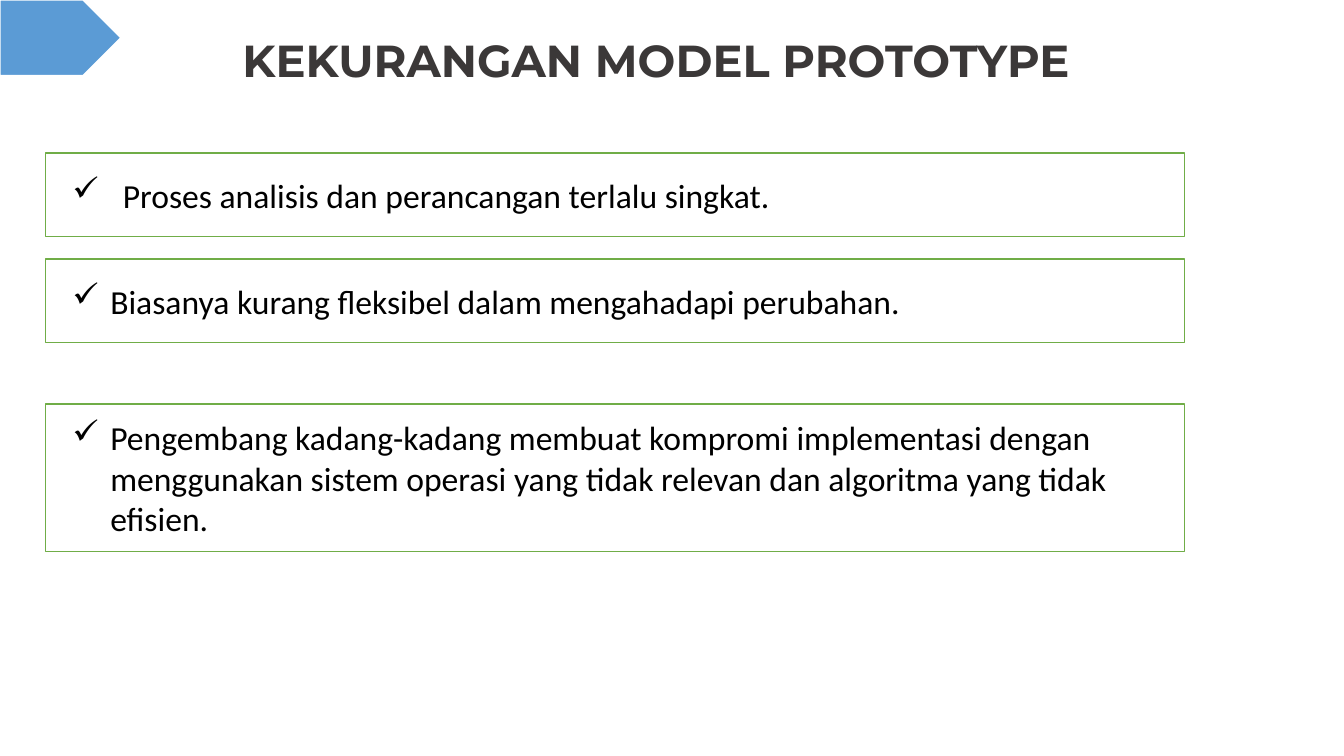
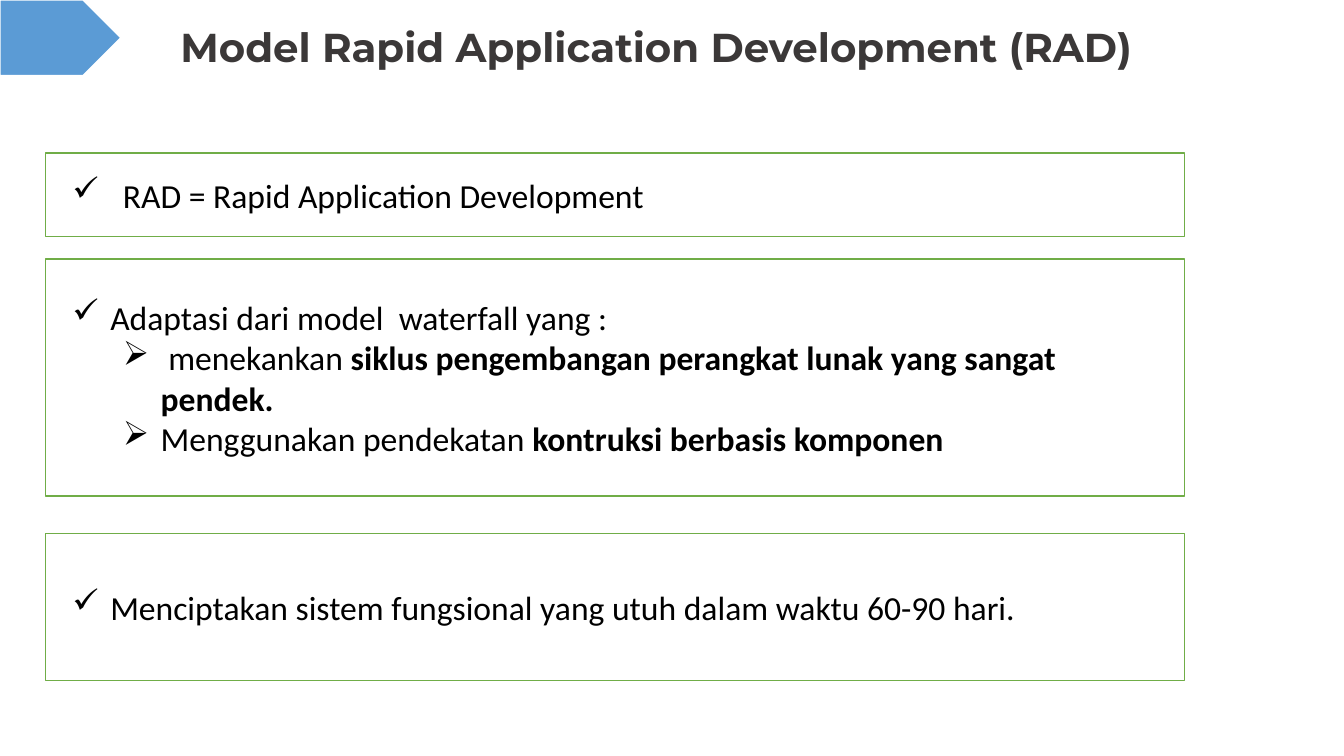
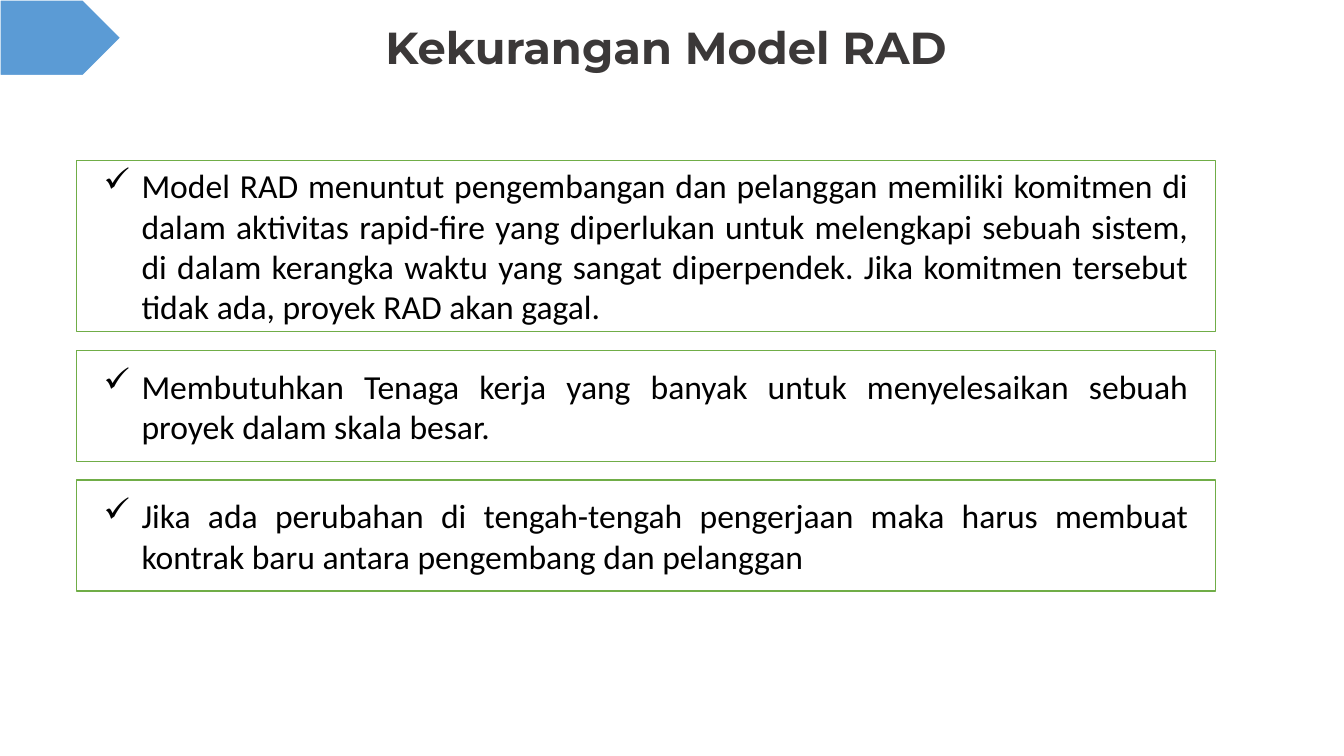
from lxml import etree
from pptx import Presentation
from pptx.dml.color import RGBColor
from pptx.enum.shapes import MSO_SHAPE
from pptx.enum.text import MSO_ANCHOR, PP_ALIGN
from pptx.oxml.ns import qn
from pptx.util import Pt

RECTANGLE = MSO_SHAPE.RECTANGLE
PENTAGON = MSO_SHAPE.PENTAGON
MIDDLE = MSO_ANCHOR.MIDDLE
LEFT, CENTER, JUSTIFY = PP_ALIGN.LEFT, PP_ALIGN.CENTER, PP_ALIGN.JUSTIFY

CHECK, ARROW = "✓", "➢"
HANGING = 27
WIDE_HANGING = 36
SUB_MARGIN = 63


def color(value):
    return RGBColor.from_string(value)


class Deck:
    WHITE, BLACK = "FFFFFF", "000000"
    BLUE, GREEN, GRAY = "5B9BD5", "70AD47", "3B3838"
    TITLE_FONT, BODY_FONT = "Montserrat", "Calibri"
    BODY_SIZE = 24
    TITLE_LEFT = 91.4
    BOX_WIDTH = 813.6
    BOX_INSET = 19.4

    def __init__(self):
        self.presentation = Presentation()
        self.presentation.slide_width = Pt(960)
        self.presentation.slide_height = Pt(540)
        self.slide = None

    def add_slide(self, title, top, height, size=32, width=754.6):
        layout = self.presentation.slide_layouts[6]
        self.slide = self.presentation.slides.add_slide(layout)
        self.add_title(title, top, width, height, size)
        self.add_shape(PENTAGON, 0, 0, 86.4, 54, self.BLUE, self.WHITE)

    def add_title(self, text, top, width, height, size):
        shape = self.slide.shapes.add_textbox(
            Pt(self.TITLE_LEFT), Pt(top), Pt(width), Pt(height))
        frame = shape.text_frame
        frame.word_wrap = True
        frame.vertical_anchor = MIDDLE
        paragraph = frame.paragraphs[0]
        paragraph.text = text
        paragraph.alignment = CENTER
        paragraph.line_spacing = 0.9
        self.set_font(paragraph, self.TITLE_FONT, size, self.GRAY)
        paragraph.font.bold = True

    def add_shape(self, kind, left, top, width, height, fill, line):
        shape = self.slide.shapes.add_shape(
            kind, Pt(left), Pt(top), Pt(width), Pt(height))
        shape.shadow.inherit = False
        shape.fill.solid()
        shape.fill.fore_color.rgb = color(fill)
        shape.line.color.rgb = color(line)
        shape.line.width = Pt(1)
        return shape

    def add_box(self, left, top, height, text, hanging=HANGING,
                alignment=LEFT, details=()):
        shape = self.add_shape(RECTANGLE, left, top, self.BOX_WIDTH, height,
                               self.WHITE, self.GREEN)
        frame = shape.text_frame
        frame.word_wrap = True
        frame.vertical_anchor = MIDDLE
        frame.margin_left = frame.margin_right = Pt(self.BOX_INSET)
        frame.margin_top = frame.margin_bottom = Pt(self.BOX_INSET)
        paragraph = frame.paragraphs[0]
        self.fill_item(paragraph, CHECK, hanging, hanging, alignment, text)
        for plain, strong in details:
            paragraph = frame.add_paragraph()
            paragraph.level = 1
            self.fill_item(paragraph, ARROW, SUB_MARGIN, HANGING, alignment,
                           plain, strong)

    def fill_item(self, paragraph, bullet, margin, hanging, alignment,
                  plain, strong=""):
        paragraph.alignment = alignment
        paragraph.add_run().text = plain
        if strong:
            run = paragraph.add_run()
            run.text = strong
            run.font.bold = True
        self.set_font(paragraph, self.BODY_FONT, self.BODY_SIZE, self.BLACK)
        properties = paragraph._p.get_or_add_pPr()
        properties.set("marL", str(Pt(margin)))
        properties.set("indent", str(-Pt(hanging)))
        mark = etree.Element(qn("a:buChar"), char=bullet)
        properties.insert(0, mark)

    def set_font(self, paragraph, name, size, value):
        paragraph.font.name = name
        paragraph.font.size = Pt(size)
        paragraph.font.color.rgb = color(value)


def main():
    deck = Deck()
    left, first_top, second_top = 32.4, 109.4, 185
    short, tall = 59.8, 105.1

    deck.add_slide("KEKURANGAN MODEL PROTOTYPE", 7.9, 74.2)
    deck.add_box(left, first_top, short,
                 "Proses analisis dan perancangan terlalu singkat.",
                 WIDE_HANGING)
    deck.add_box(left, second_top, short,
                 "Biasanya kurang fleksibel dalam mengahadapi perubahan.")
    deck.add_box(left, 288.7, tall,
                 "Pengembang kadang-kadang membuat kompromi implementasi "
                 "dengan menggunakan sistem operasi yang tidak relevan dan "
                 "algoritma yang tidak efisien.")

    deck.add_slide("Model Rapid Application Development (RAD)", 5, 61.2, 28.8)
    deck.add_box(left, first_top, short,
                 "RAD = Rapid Application Development", WIDE_HANGING)
    deck.add_box(left, second_top, 169.2,
                 "Adaptasi dari model  waterfall yang :",
                 details=[
                     (" menekankan ", "siklus pengembangan perangkat lunak "
                                      "yang sangat pendek."),
                     ("Menggunakan pendekatan ",
                      "kontruksi berbasis komponen"),
                 ])
    deck.add_box(left, 380.9, tall,
                 "Menciptakan sistem fungsional yang utuh dalam waktu "
                 "60-90 hari.")

    deck.add_slide("Kekurangan Model RAD", 5, 61.2, width=769)
    top, gap = 114.5, 13.4
    drawbacks = [
        (122.4, "Model RAD menuntut pengembangan dan pelanggan memiliki "
                "komitmen di dalam aktivitas rapid-fire yang diperlukan "
                "untuk melengkapi sebuah sistem, di dalam kerangka waktu "
                "yang sangat diperpendek. Jika komitmen tersebut tidak ada, "
                "proyek RAD akan gagal."),
        (79.2, "Membutuhkan Tenaga kerja yang banyak untuk menyelesaikan "
               "sebuah proyek dalam skala besar."),
        (79.2, "Jika ada perubahan di tengah-tengah pengerjaan maka harus "
               "membuat kontrak baru antara pengembang dan pelanggan"),
    ]
    for height, text in drawbacks:
        deck.add_box(54.7, top, height, text, alignment=JUSTIFY)
        top += height + gap

    deck.presentation.save("out.pptx")


if __name__ == "__main__":
    main()
